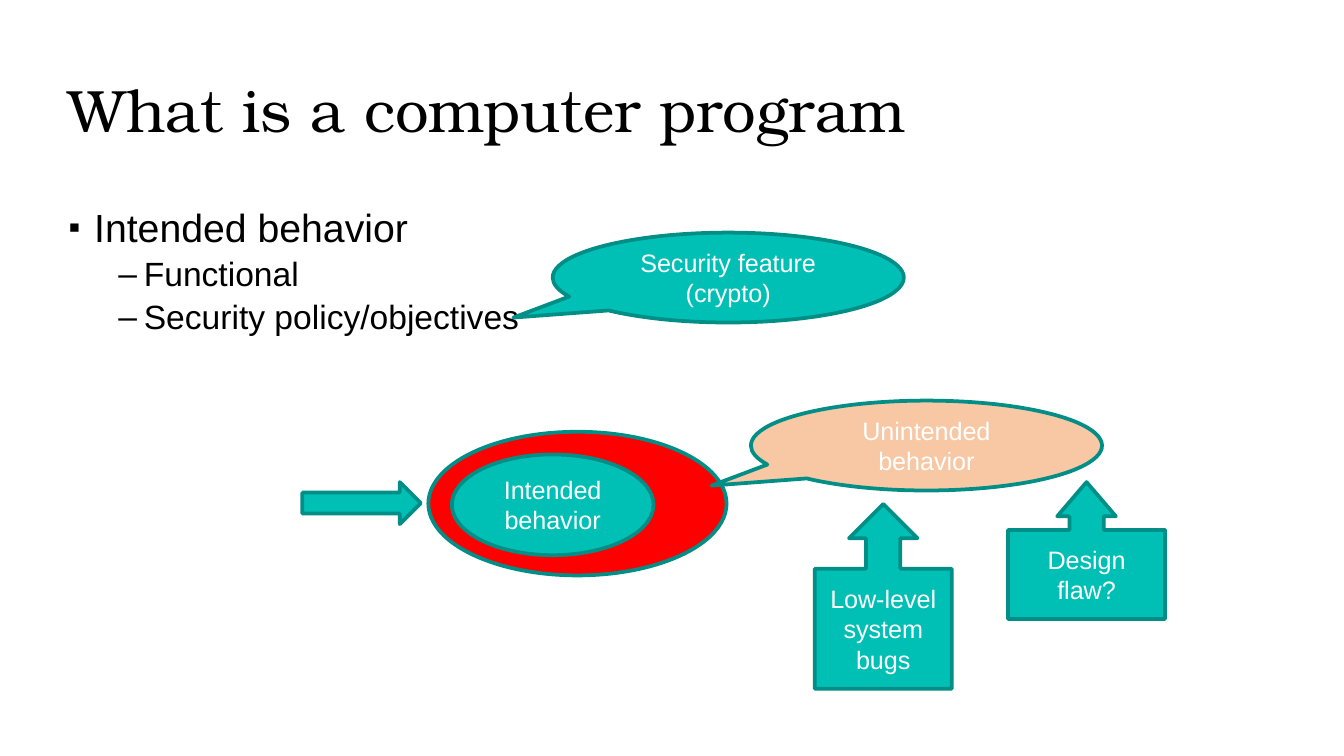
from dataclasses import dataclass

from lxml.etree import SubElement
from pptx import Presentation
from pptx.dml.color import RGBColor
from pptx.enum.shapes import MSO_SHAPE as Preset
from pptx.enum.text import MSO_ANCHOR as Anchor, MSO_AUTO_SIZE as AutoSize, PP_ALIGN as Align
from pptx.oxml.ns import qn
from pptx.slide import Slide
from pptx.util import Emu, Inches, Pt

COLUMNS, ROWS = 160, 90
WIDTH, HEIGHT = Inches(10), Inches(5.625)


@dataclass(frozen=True)
class Theme:
    teal: str = "00C0B5"
    outline: str = "008E86"
    red: str = "FF0000"
    peach: str = "F8C7A3"
    black: str = "000000"
    white: str = "FFFFFF"
    heading_font: str = "TeX Gyre Bonum"
    body_font: str = "Arial"
    title_size: float = 32
    label_size: float = 13.5
    line_width: float = 2


THEME = Theme()


@dataclass(frozen=True)
class Area:
    column: float
    row: float
    columns: float
    rows: float

    def box(self) -> tuple[Emu, Emu, Emu, Emu]:
        return (
            Emu(round(WIDTH * self.column / COLUMNS)),
            Emu(round(HEIGHT * self.row / ROWS)),
            Emu(round(WIDTH * self.columns / COLUMNS)),
            Emu(round(HEIGHT * self.rows / ROWS)),
        )


@dataclass(frozen=True)
class Level:
    bullet: str
    bullet_percent: int
    size: float
    margin: float
    space_before: float


@dataclass(frozen=True)
class Figure:
    preset: Preset
    area: Area
    lines: tuple[str, ...] = ()
    fill: str = THEME.teal
    adjustments: tuple[float, ...] = ()


HANGING = 0.19
TOPIC = Level("▪", 85, 21, 0.19, 7.5)
DETAIL = Level("–", 100, 18, 0.56, 3.7)
BULLETS = (
    (TOPIC, "Intended behavior"),
    (DETAIL, "Functional"),
    (DETAIL, "Security policy/objectives"),
)
TITLE_AREA = Area(6.6, 4.8, 147, 17.4)
BULLET_AREA = Area(6.6, 24, 147, 50.6)
SPEECH_TAIL = (-0.612, 0.445)
FIGURES = (
    Figure(Preset.OVAL_CALLOUT, Area(65.8, 27.7, 41.8, 10.7),
           ("Security feature", "(crypto)"), adjustments=SPEECH_TAIL),
    Figure(Preset.OVAL, Area(51, 51.4, 35.5, 17.1), fill=THEME.red),
    Figure(Preset.RIGHT_ARROW, Area(36, 57.4, 14.1, 5)),
    Figure(Preset.OVAL, Area(53.8, 54.1, 24, 12), ("Intended behavior",)),
    Figure(Preset.OVAL_CALLOUT, Area(89.4, 47.7, 41.8, 10.7),
           ("Unintended behavior",), THEME.peach, SPEECH_TAIL),
    Figure(Preset.UP_ARROW_CALLOUT, Area(120, 57.4, 18.7, 16.3),
           ("Design flaw?",), adjustments=(0.25, 0.214, 0.25, 0.65)),
    Figure(Preset.UP_ARROW_CALLOUT, Area(97, 60, 16.3, 22),
           ("Low-level system bugs",), adjustments=(0.25, 0.25, 0.25, 0.65)),
)


def add_run(paragraph, text: str, size: float, color: str, font: str = THEME.body_font) -> None:
    run = paragraph.add_run()
    run.text = text
    run.font.name = font
    run.font.size = Pt(size)
    run.font.color.rgb = RGBColor.from_string(color)


def paragraph_at(frame, index: int):
    return frame.add_paragraph() if index else frame.paragraphs[0]


def draw_title(slide: Slide, text: str) -> None:
    title = slide.shapes.title
    title.left, title.top, title.width, title.height = TITLE_AREA.box()
    frame = title.text_frame
    frame.auto_size = AutoSize.NONE
    frame.vertical_anchor = Anchor.MIDDLE
    paragraph = frame.paragraphs[0]
    paragraph.alignment = Align.LEFT
    paragraph.line_spacing = 0.9
    add_run(paragraph, text, THEME.title_size, THEME.black, THEME.heading_font)


def set_bullet(paragraph, level: Level) -> None:
    properties = paragraph._p.get_or_add_pPr()
    properties.set("marL", str(Inches(level.margin)))
    properties.set("indent", str(Inches(-HANGING)))
    color = SubElement(properties, qn("a:buClr"))
    SubElement(color, qn("a:srgbClr"), val=THEME.black)
    SubElement(properties, qn("a:buSzPct"), val=str(level.bullet_percent * 1000))
    SubElement(properties, qn("a:buFont"), typeface=THEME.body_font)
    SubElement(properties, qn("a:buChar"), char=level.bullet)


def draw_bullets(slide: Slide) -> None:
    frame = slide.shapes.add_textbox(*BULLET_AREA.box()).text_frame
    frame.word_wrap = True
    for index, (level, text) in enumerate(BULLETS):
        paragraph = paragraph_at(frame, index)
        set_bullet(paragraph, level)
        paragraph.line_spacing = 0.9
        if index:
            paragraph.space_before = Pt(level.space_before)
        add_run(paragraph, text, level.size, THEME.black)


def draw_figure(slide: Slide, figure: Figure) -> None:
    shape = slide.shapes.add_shape(figure.preset, *figure.area.box())
    for index, value in enumerate(figure.adjustments):
        shape.adjustments[index] = value
    shape.shadow.inherit = False
    shape.fill.solid()
    shape.fill.fore_color.rgb = RGBColor.from_string(figure.fill)
    shape.line.color.rgb = RGBColor.from_string(THEME.outline)
    shape.line.width = Pt(THEME.line_width)
    frame = shape.text_frame
    frame.word_wrap = True
    frame.vertical_anchor = Anchor.MIDDLE
    for index, line in enumerate(figure.lines):
        paragraph = paragraph_at(frame, index)
        paragraph.alignment = Align.CENTER
        add_run(paragraph, line, THEME.label_size, THEME.white)


def main() -> None:
    presentation = Presentation()
    presentation.slide_width, presentation.slide_height = WIDTH, HEIGHT
    slide = presentation.slides.add_slide(presentation.slide_layouts[5])
    draw_title(slide, "What is a computer program")
    draw_bullets(slide)
    for figure in FIGURES:
        draw_figure(slide, figure)
    presentation.save("out.pptx")


if __name__ == "__main__":
    main()
